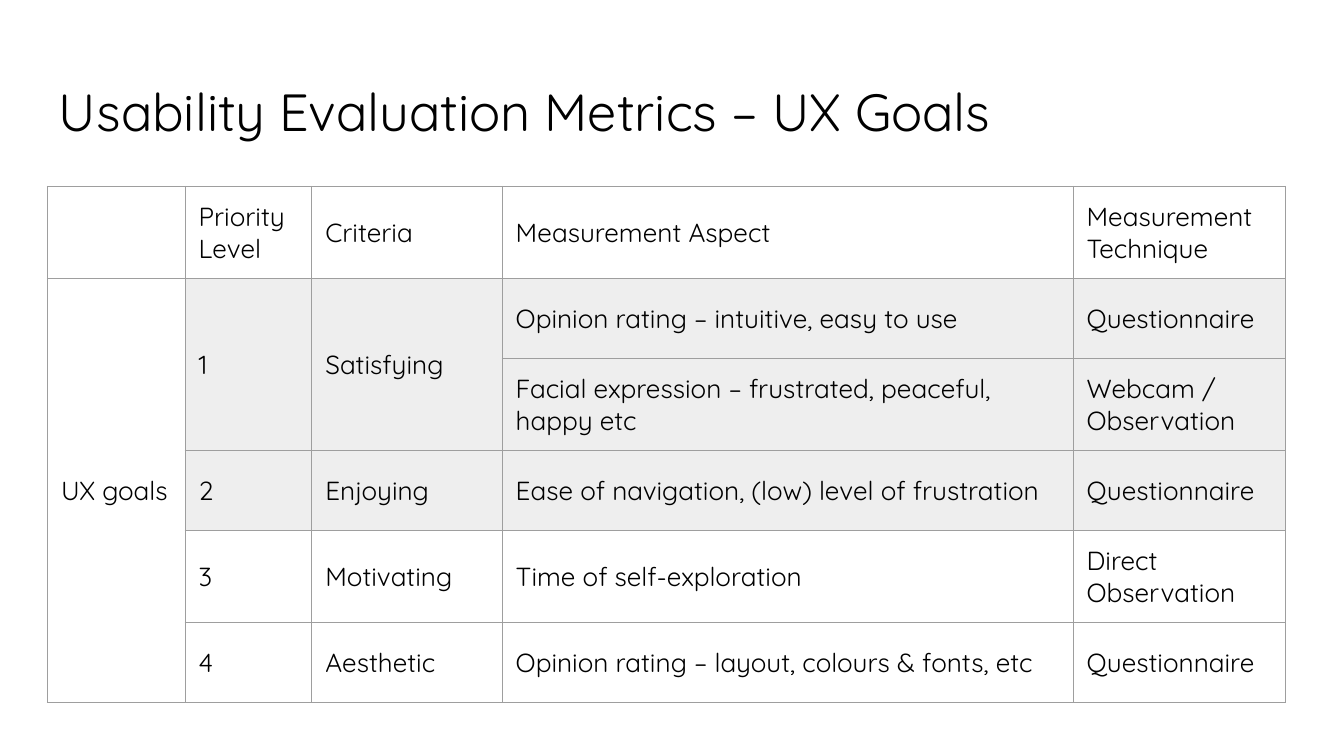
import pptx
import pptx.util
import pptx.dml.color
import pptx.enum.text
import pptx.oxml
import pptx.oxml.ns

BLACK = pptx.dml.color.RGBColor(0x00, 0x00, 0x00)
GREY = pptx.dml.color.RGBColor(0x9E, 0x9E, 0x9E)
PALE = pptx.dml.color.RGBColor(0xEE, 0xEE, 0xEE)
WHITE = pptx.dml.color.RGBColor(0xFF, 0xFF, 0xFF)

# Slide grid: 100 columns by 56.25 rows of square units
UNIT = pptx.util.Inches(0.1)
WIDE, HIGH = 100, 56.25


def grid(count):
    return round(count * UNIT)


def write(frame, text, size=14, font="Quicksand", color=BLACK):
    part = frame.paragraphs[0]
    run = part.add_run()
    run.text = text
    run.font.size = pptx.util.Pt(size)
    run.font.name = font
    run.font.color.rgb = color


class Deck:
    inset = grid(1)
    line = pptx.util.Pt(0.75)

    def __init__(self):
        self.file = pptx.Presentation()
        self.file.slide_width = grid(WIDE)
        self.file.slide_height = grid(HIGH)
        self.slide = self.file.slides.add_slide(self.file.slide_layouts[6])
        self.slide.background.fill.solid()
        self.slide.background.fill.fore_color.rgb = WHITE

    def pad(self, item):
        item.margin_left = item.margin_right = self.inset
        item.margin_top = item.margin_bottom = self.inset

    def title(self, text, left, top, width, height):
        box = self.slide.shapes.add_textbox(*map(grid, (left, top, width, height)))
        box.text_frame.word_wrap = True
        self.pad(box.text_frame)
        write(box.text_frame, text, size=28)

    def border(self, cell):
        props = cell._tc.get_or_add_tcPr()
        for side in "LRTB":
            props.append(pptx.oxml.parse_xml(
                f'<a:ln{side} {pptx.oxml.ns.nsdecls("a")} w="{self.line}">'
                f'<a:solidFill><a:srgbClr val="{GREY}"/></a:solidFill></a:ln{side}>'))

    def table(self, data, left, top, widths, heights, shaded, spans):
        table = self.slide.shapes.add_table(
            len(heights), len(widths), grid(left), grid(top),
            grid(sum(widths)), grid(sum(heights))).table
        table.first_row = table.horz_banding = False
        for col, width in zip(table.columns, widths):
            col.width = grid(width)
        for row, height in zip(table.rows, heights):
            row.height = grid(height)

        for r, words in enumerate(data):
            for c, text in enumerate(words):
                cell = table.cell(r, c)
                self.pad(cell)
                cell.vertical_anchor = pptx.enum.text.MSO_ANCHOR.MIDDLE
                self.border(cell)
                if r in shaded and c > 0:
                    cell.fill.solid()
                    cell.fill.fore_color.rgb = PALE
                else:
                    cell.fill.background()
                if text:
                    write(cell.text_frame, text)

        # Cells that run down over several rows
        for r, c, last in spans:
            table.cell(r, c).merge(table.cell(last, c))


def main():
    deck = Deck()

    # Heading
    deck.title("Usability Evaluation Metrics – UX Goals", 3.41, 4.87, 93.18, 6.26)

    # Goals and how each is measured
    goals = [
        ("", "Priority Level", "Criteria", "Measurement Aspect",
         "Measurement Technique"),
        ("UX goals", "1", "Satisfying",
         "Opinion rating – intuitive, easy to use", "Questionnaire"),
        ("", "", "", "Facial expression – frustrated, peaceful, happy etc",
         "Webcam / Observation"),
        ("", "2", "Enjoying",
         "Ease of navigation, (low) level of frustration", "Questionnaire"),
        ("", "3", "Motivating", "Time of self-exploration",
         "Direct Observation"),
        ("", "4", "Aesthetic",
         "Opinion rating – layout, colours & fonts, etc", "Questionnaire"),
    ]
    tall, low = 6.84, 5.96
    deck.table(goals, 3.54, 13.88,
               widths=(10.24, 9.43, 14.17, 42.48, 15.78),
               heights=(tall, low, tall, low, tall, low),
               shaded=(1, 2, 3),
               spans=((1, 0, 5), (1, 1, 2), (1, 2, 2)))

    deck.file.save("out.pptx")


if __name__ == "__main__":
    main()
